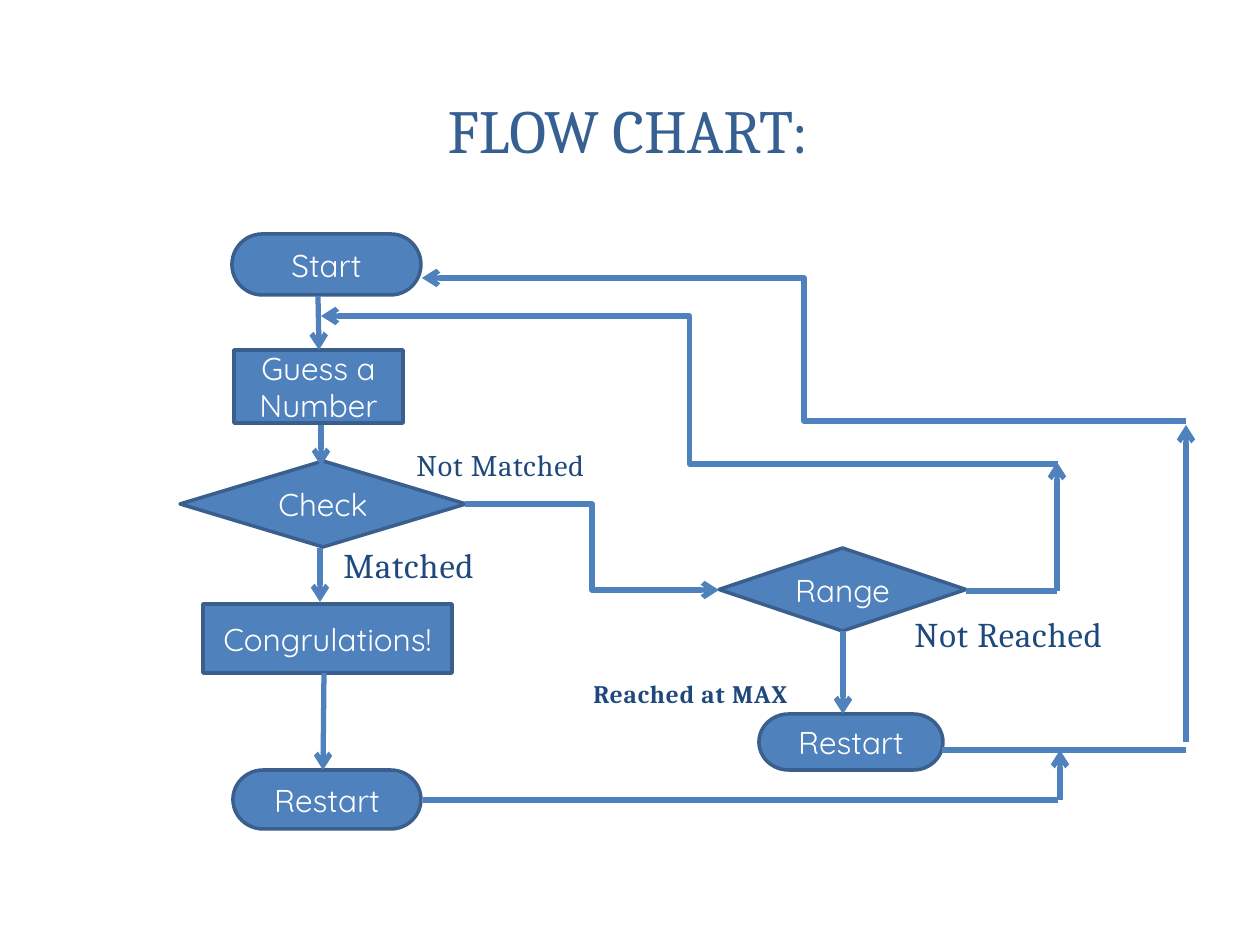
from dataclasses import dataclass

from lxml import etree
from pptx import Presentation
from pptx.dml.color import RGBColor
from pptx.enum.shapes import MSO_CONNECTOR as LINE, MSO_SHAPE as SHAPE
from pptx.enum.text import MSO_ANCHOR as ANCHOR, PP_ALIGN as ALIGN
from pptx.oxml.ns import qn
from pptx.util import Inches, Pt


@dataclass(frozen=True)
class Theme:
    fill: str = "4F81BD"
    border: str = "3A5F8C"
    title: str = "376092"
    label: str = "1F497D"
    node_text: str = "FFFFFF"
    serif: str = "Cambria"
    sans: str = "Quicksand"
    title_size: float = 35
    node_size: float = 18
    border_width: float = 2
    arrow_width: float = 3
    label_spacing: int = 50  # hundredths of a point


theme = Theme()
SCALE = Inches(1) / 126


def px(*lengths):
    return [round(length * SCALE) for length in lengths]


def write(shape, text, font_name, size, color, align, anchor):
    frame = shape.text_frame
    frame.text = text
    frame.word_wrap = True
    frame.vertical_anchor = anchor
    paragraph = frame.paragraphs[0]
    paragraph.alignment = align
    font = paragraph.font
    font.name, font.size = font_name, Pt(size)
    font.color.rgb = RGBColor.from_string(color)
    return font


presentation = Presentation()
presentation.slide_width, presentation.slide_height = Inches(10), Inches(7.5)
slide = presentation.slides.add_slide(presentation.slide_layouts[5])
shapes = slide.shapes

# Title
title = shapes.title
title.left, title.top, title.width, title.height = px(59, 57, 1138, 144)
write(title, "FLOW CHART:", theme.serif, theme.title_size, theme.title,
      ALIGN.CENTER, ANCHOR.MIDDLE)

# Steps: kind, text, left, top, width, height
steps = [
    (SHAPE.FLOWCHART_TERMINATOR, "Start", 232, 234, 189, 61),
    (SHAPE.FLOWCHART_PROCESS, "Guess a Number", 234, 350, 169, 73),
    (SHAPE.FLOWCHART_DECISION, "Check", 180, 461, 286, 86),
    (SHAPE.FLOWCHART_PROCESS, "Congrulations!", 203, 604, 249, 69),
    (SHAPE.FLOWCHART_TERMINATOR, "Restart", 233, 770, 188, 59),
    (SHAPE.FLOWCHART_DECISION, "Range", 719, 548, 247, 83),
    (SHAPE.FLOWCHART_TERMINATOR, "Restart", 759, 714, 184, 56),
]
for kind, text, *box in steps:
    step = shapes.add_shape(kind, *px(*box))
    step.shadow.inherit = False
    step.fill.solid()
    step.fill.fore_color.rgb = RGBColor.from_string(theme.fill)
    step.line.color.rgb = RGBColor.from_string(theme.border)
    step.line.width = Pt(theme.border_width)
    write(step, text, theme.sans, theme.node_size, theme.node_text,
          ALIGN.CENTER, ANCHOR.MIDDLE)

# Connectors: kind, has arrowhead, start x, start y, end x, end y
connectors = [
    # Main column
    (LINE.STRAIGHT, True, 318, 296, 319, 350),
    (LINE.STRAIGHT, True, 321, 425, 321, 466),
    (LINE.STRAIGHT, True, 320, 548, 320, 602),
    (LINE.STRAIGHT, True, 324, 673, 323, 770),
    # Check to range, range to restart
    (LINE.ELBOW, True, 465, 504, 719, 590),
    (LINE.STRAIGHT, True, 843, 631, 843, 714),
    # Range back to guess
    (LINE.STRAIGHT, False, 966, 591, 1057, 591),
    (LINE.STRAIGHT, True, 1057, 591, 1057, 462),
    (LINE.ELBOW, True, 1058, 464, 321, 316),
    # Both restarts back to start
    (LINE.STRAIGHT, False, 423, 800, 1058, 800),
    (LINE.STRAIGHT, True, 1060, 800, 1060, 750),
    (LINE.STRAIGHT, False, 942, 750, 1186, 750),
    (LINE.STRAIGHT, True, 1186, 742, 1186, 425),
    (LINE.ELBOW, True, 1186, 421, 422, 278),
]
for kind, has_arrow, *ends in connectors:
    connector = shapes.add_connector(kind, *px(*ends))
    connector.line.color.rgb = RGBColor.from_string(theme.fill)
    connector.line.width = Pt(theme.arrow_width)
    properties = connector._element.spPr
    if has_arrow:
        etree.SubElement(properties.find(qn("a:ln")), qn("a:tailEnd"), type="arrow")
    etree.SubElement(properties, qn("a:effectLst"))

# Branch labels: text, size, bold, left, top, width, height
labels = [
    ("Not Matched", 17.1, False, 404, 437, 229, 52),
    ("Matched", 19.8, False, 331, 539, 184, 53),
    ("Not Reached", 19.8, False, 902, 609, 244, 52),
    ("Reached at MAX", 14.4, True, 581, 670, 247, 45),
]
for text, size, bold, *box in labels:
    label = shapes.add_textbox(*px(*box))
    font = write(label, text, theme.serif, size, theme.label,
                 ALIGN.LEFT, ANCHOR.BOTTOM)
    font.bold = bold
    font._element.set("spc", str(theme.label_spacing)) if hasattr(font, "_element") \
        else font._rPr.set("spc", str(theme.label_spacing))

presentation.save("out.pptx")
